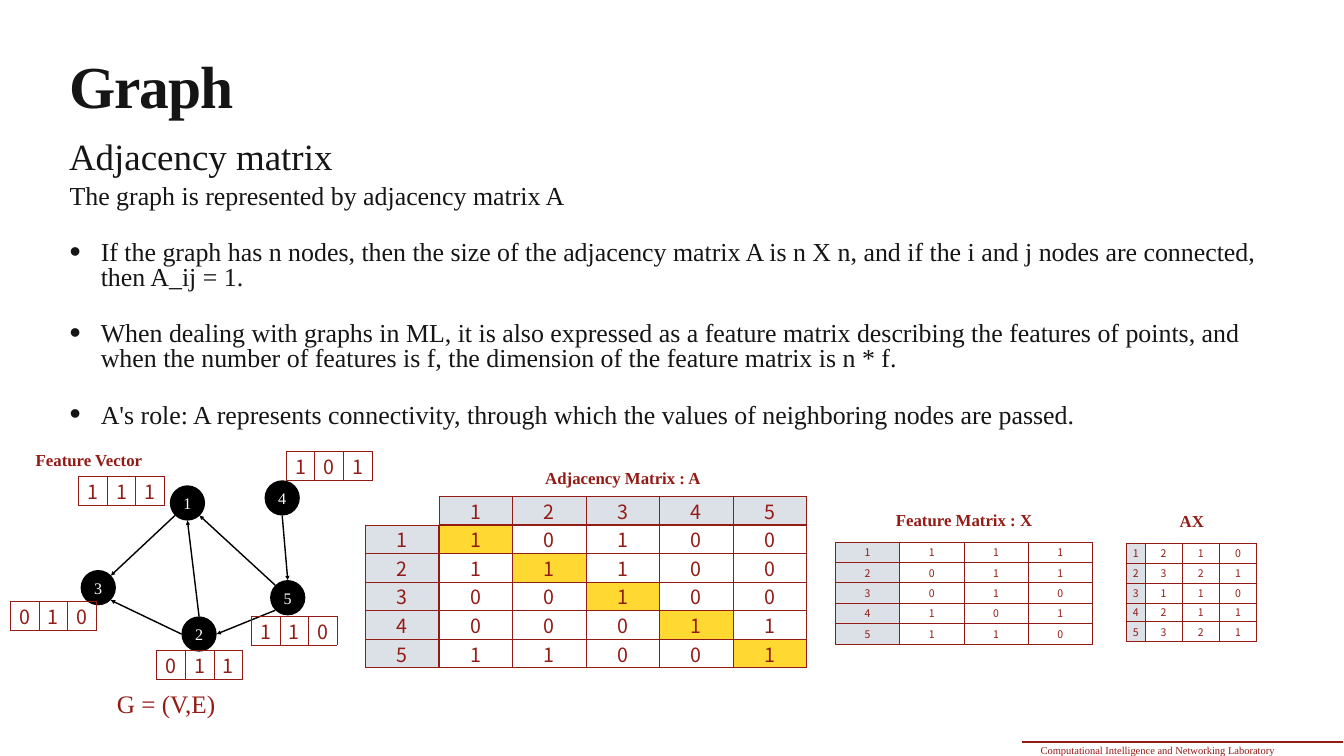
import pptx
import pptx.dml.color
import pptx.enum.shapes
import pptx.enum.text
import pptx.oxml
import pptx.oxml.ns
import pptx.util
from lxml import etree

PX = 9144  # EMU per px, 100 px to the inch
RED = pptx.dml.color.RGBColor(0x93, 0x1B, 0x15)
INK = pptx.dml.color.RGBColor(0x15, 0x15, 0x15)
BLACK = pptx.dml.color.RGBColor(0, 0, 0)
WHITE = pptx.dml.color.RGBColor(255, 255, 255)
HEADER = pptx.dml.color.RGBColor(0xDC, 0xE0, 0xE7)
YELLOW = pptx.dml.color.RGBColor(0xFF, 0xD9, 0x32)
SERIF = "Times New Roman"
SANS = "Noto Sans CJK KR"
CENTER = pptx.enum.text.PP_ALIGN.CENTER
LEFT = pptx.enum.text.PP_ALIGN.LEFT
TOP = pptx.enum.text.MSO_ANCHOR.TOP
MIDDLE = pptx.enum.text.MSO_ANCHOR.MIDDLE

NODE = 70
NODES = {"1": (337, 963), "2": (360, 1223), "3": (160, 1131), "4": (525, 953), "5": (536, 1151)}
EDGES = [
    ((347, 1023), (220, 1142)),
    ((360, 1258), (220, 1191)),
    ((395, 1223), (372, 1033)),
    ((546, 1161), (396, 1023)),
    ((546, 1211), (430, 1258)),
    ((560, 1023), (571, 1151)),
]
FEATURES = {"1": "111", "2": "011", "3": "010", "4": "101", "5": "110"}
VECTOR_CORNERS = {"1": (156, 945), "2": (311, 1290), "3": (21, 1194), "4": (568, 896), "5": (499, 1223)}
ADJACENCY = ["10100", "11100", "00100", "00011", "11001"]
PRODUCT = ["210", "321", "110", "211", "321"]
BULLETS = [
    "If the graph has n nodes, then the size of the adjacency matrix A is n X n, "
    "and if the i and j nodes are connected, then A_ij = 1.",
    "When dealing with graphs in ML, it is also expressed as a feature matrix describing the "
    "features of points, and when the number of features is f, the dimension of the feature "
    "matrix is n * f.",
    "A's role: A represents connectivity, through which the values of neighboring nodes are passed.",
]


def emu(*lengths):
    return [length * PX for length in lengths]


def style(paragraph, size, color, font=SERIF, bold=False, align=CENTER):
    paragraph.alignment = align
    paragraph.font.size = pptx.util.Pt(size)
    paragraph.font.name = font
    paragraph.font.bold = bold
    paragraph.font.color.rgb = color


def set_frame(frame, margin, anchor=MIDDLE, wrap=True):
    frame.word_wrap = wrap
    frame.auto_size = pptx.enum.text.MSO_AUTO_SIZE.NONE
    frame.vertical_anchor = anchor
    frame.margin_left = frame.margin_right = margin * PX
    frame.margin_top = frame.margin_bottom = margin * PX


def set_bullet(paragraph, char=None):
    """Give the paragraph a hanging bullet, or none at all."""
    props = paragraph._p.get_or_add_pPr()
    indent = 62 * PX if char else 0
    props.set("marL", str(indent))
    props.set("indent", str(-indent))
    if char:
        etree.SubElement(props, pptx.oxml.ns.qn("a:buSzPct")).set("val", "123000")
        etree.SubElement(props, pptx.oxml.ns.qn("a:buChar")).set("char", char)
    else:
        etree.SubElement(props, pptx.oxml.ns.qn("a:buNone"))


def fill_placeholder(placeholder, box, margin):
    placeholder.left, placeholder.top, placeholder.width, placeholder.height = emu(*box)
    set_frame(placeholder.text_frame, margin, TOP)
    return placeholder.text_frame


def add_heading(slide):
    title = fill_placeholder(slide.shapes.title, (132, 118, 2403, 157), 6).paragraphs[0]
    run = title.add_run()
    run.text = "Graph"
    run._r.get_or_add_rPr().set("spc", "-170")
    title.line_spacing = 0.8
    style(title, 85, INK, bold=True, align=LEFT)

    subtitle = fill_placeholder(slide.placeholders[1], (132, 260, 2403, 102), 5).paragraphs[0]
    subtitle.text = "Adjacency matrix"
    subtitle.space_before = pptx.util.Pt(0)
    set_bullet(subtitle)
    style(subtitle, 52.8, INK, align=LEFT)


def add_points(slide):
    frame = fill_placeholder(slide.placeholders[2], (132, 362, 2403, 524), 6)
    for index, text in enumerate(["The graph is represented by adjacency matrix A", *BULLETS]):
        point = frame.add_paragraph() if index else frame.paragraphs[0]
        point.text = text
        point.line_spacing = 0.8
        point.space_before = pptx.util.Pt(45 if index else 0)
        set_bullet(point, "•" if index else None)
        style(point, 37, INK, align=LEFT)


def add_label(slide, text, box, size=24, bold=True, wrap=False):
    label = slide.shapes.add_textbox(*emu(*box)).text_frame
    set_frame(label, 6, wrap=wrap)
    label.paragraphs[0].text = text
    style(label.paragraphs[0], size, RED, bold=bold)


def add_node(slide, name, corner):
    node = slide.shapes.add_shape(pptx.enum.shapes.MSO_SHAPE.OVAL, *emu(*corner, NODE, NODE))
    node.shadow.inherit = False
    node.fill.solid()
    node.fill.fore_color.rgb = BLACK
    node.line.fill.background()
    set_frame(node.text_frame, 6)
    node.text_frame.paragraphs[0].text = name
    style(node.text_frame.paragraphs[0], 23, WHITE)


def add_line(slide, start, end, color, arrow=False):
    line = slide.shapes.add_connector(pptx.enum.shapes.MSO_CONNECTOR.STRAIGHT, *emu(*start, *end))
    line.line.color.rgb = color
    line.line.width = pptx.util.Pt(2)
    if arrow:
        tail = etree.SubElement(line.line._get_or_add_ln(), pptx.oxml.ns.qn("a:tailEnd"))
        tail.set("type", "triangle")
    etree.SubElement(line._element.spPr, pptx.oxml.ns.qn("a:effectLst"))


def set_borders(cell, widths):
    """Draw the cell's sides, widths in points keyed L, R, T, B."""
    props = cell._tc.get_or_add_tcPr()
    for side, width in widths.items():
        props.append(pptx.oxml.parse_xml(
            f'<a:ln{side} {pptx.oxml.ns.nsdecls("a")} w="{pptx.util.Pt(width)}">'
            f'<a:solidFill><a:srgbClr val="{RED}"/></a:solidFill></a:ln{side}>'))


def add_matrix(slide, box, rows, size, col_widths=None, row_heights=None, fill_of=None, borders_of=None):
    """Add a grid of digits; columns and rows are equal unless their sizes are given."""
    count = len(rows[0])
    table = slide.shapes.add_table(len(rows), count, *emu(*box)).table
    table.first_row = table.horz_banding = False
    for index, column in enumerate(table.columns):
        column.width = col_widths[index] * PX if col_widths else box[2] * PX // count
    for index, row in enumerate(table.rows):
        row.height = row_heights[index] * PX if row_heights else box[3] * PX // len(rows)
    for r, values in enumerate(rows):
        for c, value in enumerate(values):
            cell = table.cell(r, c)
            cell.margin_left = cell.margin_right = cell.margin_top = cell.margin_bottom = 0
            cell.vertical_anchor = MIDDLE
            set_borders(cell, borders_of(r, c) if borders_of else dict.fromkeys("LRTB", 1))
            color = fill_of(r, c) if fill_of else None
            if color is None:
                cell.fill.background()
            else:
                cell.fill.solid()
                cell.fill.fore_color.rgb = color
            cell.text = value.strip()
            style(cell.text_frame.paragraphs[0], size, RED, SANS)


def adjacency_fill(row, column):
    if row == column:
        return YELLOW if row else None
    return HEADER if row == 0 or column == 0 else None


def adjacency_borders(row, column):
    """Rule off the headings with thick lines and leave the corner open."""
    if row == column == 0:
        return {"R": 1, "B": 1}
    return {
        "L": 3 if column == 1 and row else 1,
        "R": 3 if column == 0 else 1,
        "T": 3 if row == 1 and column else 1,
        "B": 3 if row == 0 else 1,
    }


def first_column_fill(row, column):
    return HEADER if column == 0 else None


def numbered(rows):
    return [str(number) + row for number, row in enumerate(rows, 1)]


def main():
    deck = pptx.Presentation()
    deck.slide_width, deck.slide_height = emu(2667, 1500)
    slide = deck.slides.add_slide(deck.slide_layouts.get_by_name("Two Content"))

    add_label(slide, "Computational Intelligence and Networking Laboratory",
              (1930, 1471, 735, 36), size=15, bold=False, wrap=True)
    add_line(slide, (2029, 1472), (2666, 1472), RED)
    add_heading(slide)
    add_points(slide)

    for name, corner in NODES.items():
        add_node(slide, name, corner)
    for start, end in EDGES:
        add_line(slide, start, end, BLACK, arrow=True)
    for name, corner in VECTOR_CORNERS.items():
        add_matrix(slide, (*corner, 170, 57), [FEATURES[name]], 28)
    add_label(slide, "G = (V,E)", (187, 1360, 285, 71), size=36, bold=False)
    add_label(slide, "Feature Vector", (62, 887, 229, 52))

    add_label(slide, "Adjacency Matrix : A", (1069, 921, 334, 52))
    add_matrix(slide, (725, 985, 876, 340), [" 12345", *numbered(ADJACENCY)], 28,
               fill_of=adjacency_fill, borders_of=adjacency_borders)
    add_label(slide, "Feature Matrix : X", (1768, 1006, 290, 52))
    add_matrix(slide, (1658, 1075, 510, 203), numbered(FEATURES.values()), 15,
               fill_of=first_column_fill)
    add_label(slide, "AX", (2335, 1007, 60, 52))
    add_matrix(slide, (2236, 1077, 258, 196), numbered(PRODUCT), 15,
               col_widths=[36, 74, 74, 74], row_heights=[40, 40, 40, 36, 40],
               fill_of=first_column_fill)

    deck.save("out.pptx")


if __name__ == "__main__":
    main()
